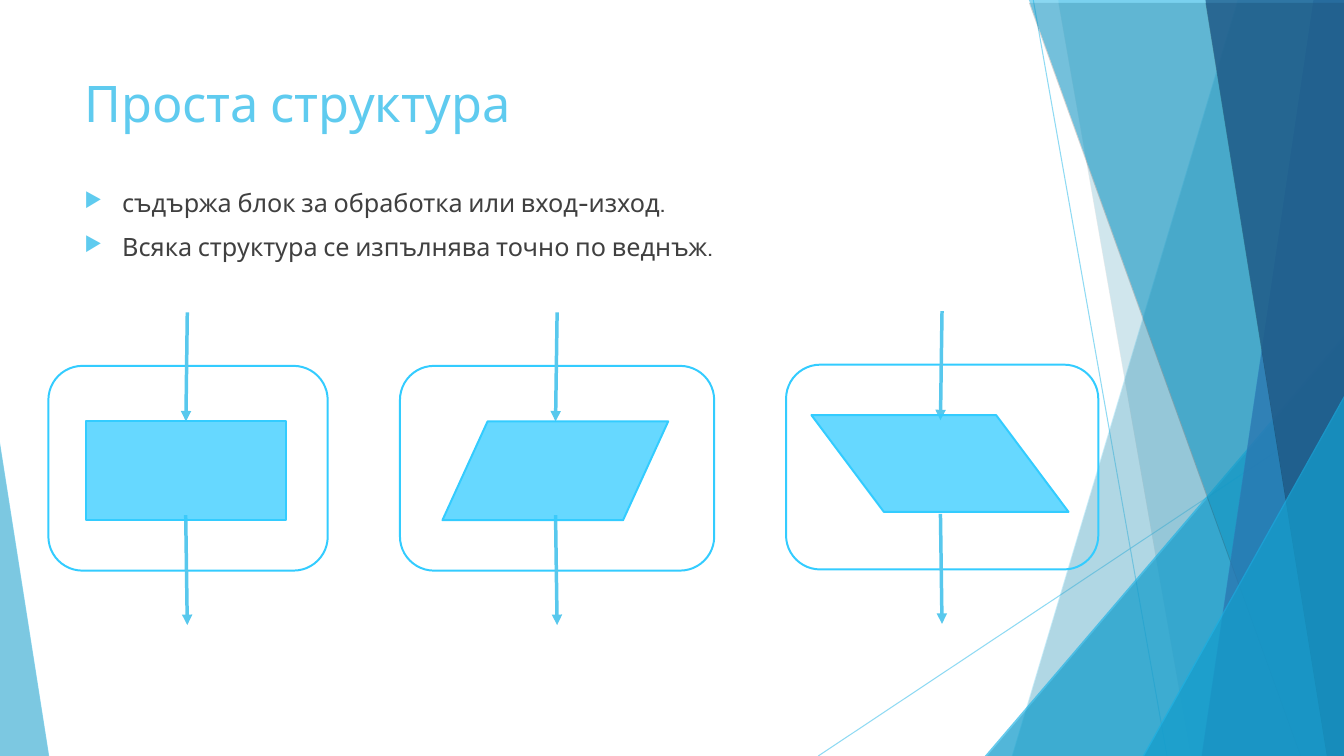
from lxml import etree
from pptx import Presentation
from pptx.dml.color import RGBColor
from pptx.enum.shapes import MSO_CONNECTOR, MSO_SHAPE
from pptx.oxml.ns import qn
from pptx.util import Cm, Pt

STRAIGHT = MSO_CONNECTOR.STRAIGHT
TRIANGLE = MSO_SHAPE.ISOSCELES_TRIANGLE
ROUNDED = MSO_SHAPE.ROUNDED_RECTANGLE
PROCESS = MSO_SHAPE.RECTANGLE
INPUT_OUTPUT = MSO_SHAPE.FLOWCHART_DATA
PARALLELOGRAM = MSO_SHAPE.PARALLELOGRAM

WIDTH, HEIGHT = 33.87, 19.05
COLORS = {
    "sky": "5FCBEF",
    "cyan": "17B0E4",
    "blue": "2E83C3",
    "navy": "226292",
    "block": "33CCFF",
    "arrow": "58C8ED",
    "body": "404040",
    "shadow": "000000",
}


class StructureSlide:
    font = "Cabin"

    def __init__(self, presentation):
        self.slide = presentation.slides.add_slide(presentation.slide_layouts[6])
        self.shapes = self.slide.shapes

    def color(self, name):
        return RGBColor.from_string(COLORS[name])

    def add_xml(self, parent, tag, **attributes):
        return etree.SubElement(parent, qn(tag), attributes)

    def set_opacity(self, element, percent):
        for color in element.iter(qn("a:srgbClr")):
            self.add_xml(color, "a:alpha", val=str(percent * 1000))

    def paint(self, shape, fill, opacity):
        shape.shadow.inherit = False
        shape.fill.solid()
        shape.fill.fore_color.rgb = self.color(fill)
        self.set_opacity(shape._element.spPr, opacity)

    def outline(self, shape):
        shape.line.color.rgb = self.color("block")
        shape.line.width = Pt(1.42)

    def cast_shadow(self, shape):
        effects = shape._element.spPr.find(qn("a:effectLst"))
        shadow = self.add_xml(effects, "a:outerShdw", blurRad="0",
                              dist=str(Pt(2)), dir="5400000", rotWithShape="0")
        color = self.add_xml(shadow, "a:srgbClr", val=COLORS["shadow"])
        self.add_xml(color, "a:alpha", val="35000")

    def decorate(self, shape, fill, opacity):
        self.paint(shape, fill, opacity)
        shape.line.fill.background()
        self.cast_shadow(shape)

    def facet(self, top_x, bottom_x, fill, opacity):
        builder = self.shapes.build_freeform(Cm(top_x), 0, 1)
        builder.add_line_segments([
            (Cm(WIDTH), 0), (Cm(WIDTH), Cm(HEIGHT)), (Cm(bottom_x), Cm(HEIGHT))])
        self.decorate(builder.convert_to_shape(), fill, opacity)

    def corner(self, left, top, width, apex, fill, opacity):
        corner = self.shapes.add_shape(
            TRIANGLE, Cm(left), Cm(top), Cm(width), Cm(HEIGHT - top))
        corner.adjustments[0] = apex
        self.decorate(corner, fill, opacity)

    def line(self, start, end, color, width, opacity=100, arrow=False):
        line = self.shapes.add_connector(
            STRAIGHT, *(Cm(value) for value in (*start, *end)))
        line.line.color.rgb = self.color(color)
        line.line.width = Pt(width)
        properties = line._element.spPr
        if opacity < 100:
            self.set_opacity(properties, opacity)
        if arrow:
            self.add_xml(properties.find(qn("a:ln")), "a:tailEnd", type="triangle")
        self.add_xml(properties, "a:effectLst")
        return line

    def text(self, box, lines, size, color, bullets=False):
        frame = self.shapes.add_textbox(*(Cm(value) for value in box)).text_frame
        frame.word_wrap = True
        frame.text = "\n".join(lines)
        for paragraph in frame.paragraphs:
            if bullets:
                self.bullet(paragraph)
            paragraph.font.name = self.font
            paragraph.font.size = Pt(size)
            paragraph.font.color.rgb = self.color(color)

    def bullet(self, paragraph):
        paragraph.space_before = Pt(10)
        properties = paragraph._p.get_or_add_pPr()
        properties.set("marL", str(Cm(0.95)))
        properties.set("indent", str(-Cm(0.95)))
        bullet_color = self.add_xml(properties, "a:buClr")
        self.add_xml(bullet_color, "a:srgbClr", val=COLORS["sky"])
        self.add_xml(properties, "a:buSzPct", val="80000")
        self.add_xml(properties, "a:buChar", char="▶")

    def structure(self, frame_box, axis, kind, block_box):
        frame = self.shapes.add_shape(ROUNDED, *(Cm(value) for value in frame_box))
        frame.shadow.inherit = False
        frame.fill.background()
        self.outline(frame)

        top = frame_box[1]
        outer = axis + 0.04
        entry = self.line((outer, top - 1.35), (axis, top + 1.4),
                          "arrow", 2.5, arrow=True)
        self.line((axis, top + 3.76), (outer, top + 6.53), "arrow", 2.5, arrow=True)

        block = self.shapes.add_shape(kind, *(Cm(value) for value in block_box))
        self.paint(block, "block", 75)
        self.outline(block)
        if kind == PROCESS:
            entry.end_connect(block, 0)
        elif kind == PARALLELOGRAM:
            block.adjustments[0] = 0.748
            block._element.spPr.find(qn("a:xfrm")).set("flipH", "1")


def main():
    presentation = Presentation()
    presentation.slide_width = Cm(WIDTH)
    presentation.slide_height = Cm(HEIGHT)
    slide = StructureSlide(presentation)

    slide.line((26.04, 0), (29.41, HEIGHT), "sky", 0.75, opacity=70)
    slide.line((WIDTH, 10.24), (20.62, HEIGHT), "sky", 0.75, opacity=70)
    slide.facet(31.19, 25.5, "sky", 36)
    slide.facet(26.67, 30.02, "sky", 20)
    slide.corner(24.82, 8.46, 9.05, 1, "cyan", 66)
    slide.facet(25.93, 32.79, "cyan", 50)
    slide.facet(33.1, 30.28, "blue", 70)
    slide.facet(30.38, 33.45, "navy", 80)
    slide.corner(28.8, 9.98, 5.07, 1, "cyan", 66)
    slide.corner(0, 11.15, 1.24, 0, "sky", 70)

    slide.text((1.88, 1.7, 23.88, 3.66), ["Проста структура"], 36, "sky")
    slide.text((1.88, 4.6, 16.54, 12.19), [
        "съдържа блок за обработка или вход-изход.",
        "Всяка структура се изпълнява точно по веднъж.",
    ], 18, "body", bullets=True)

    structures = [
        ((1.22, 9.22, 7.04, 5.16), 4.68, PROCESS, (2.16, 10.62, 5.05, 2.49)),
        ((10.08, 9.22, 7.92, 5.16), 14, INPUT_OUTPUT, (11.15, 10.62, 5.69, 2.49)),
        ((19.81, 9.19, 7.87, 5.16), 23.7, PARALLELOGRAM, (20.45, 10.46, 6.48, 2.44)),
    ]
    for frame_box, axis, kind, block_box in structures:
        slide.structure(frame_box, axis, kind, block_box)

    presentation.save("out.pptx")


if __name__ == "__main__":
    main()
